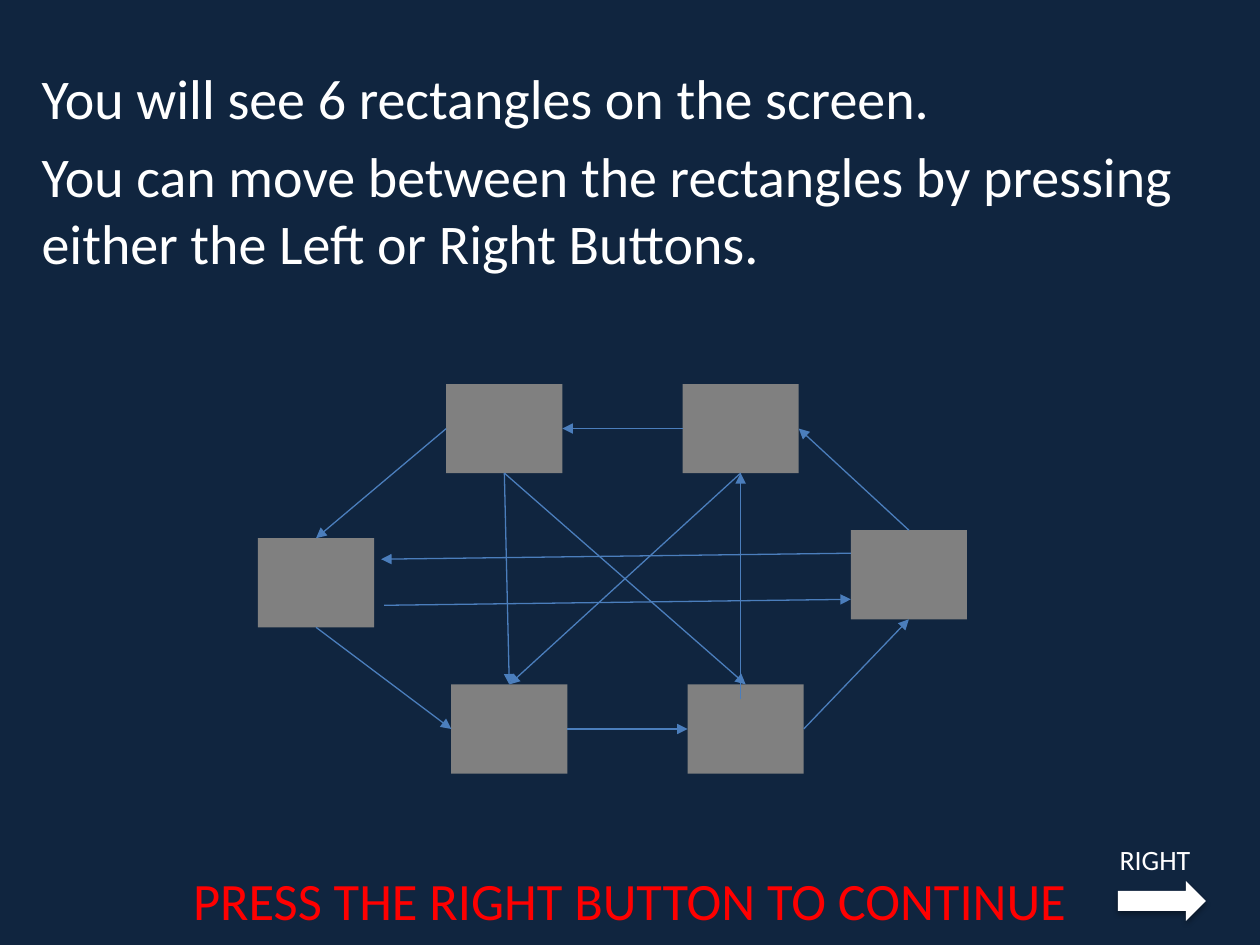
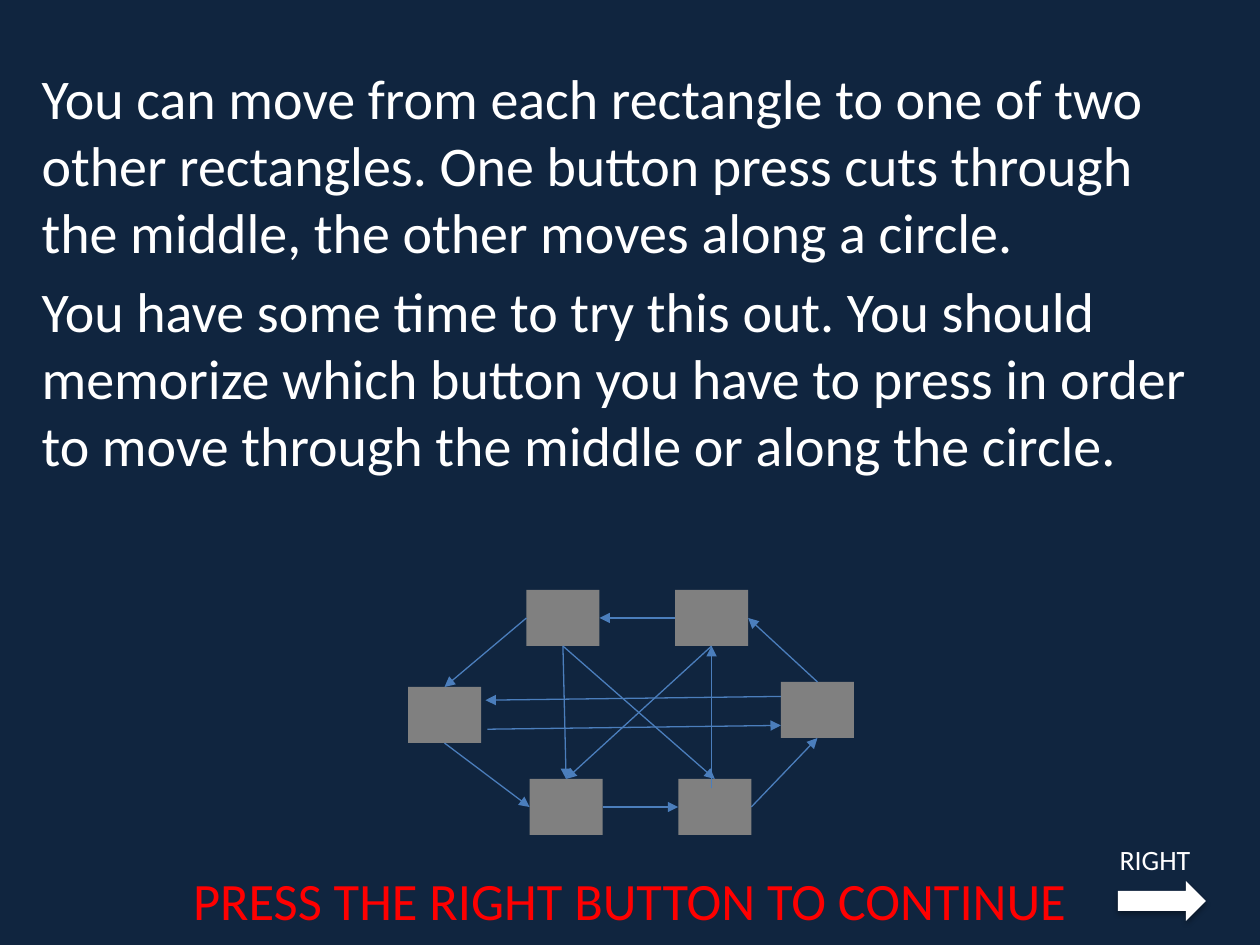
from lxml import etree
from pptx import Presentation, util as u
from pptx.dml.color import RGBColor
from pptx.enum import shapes as es, text as et
from pptx.oxml import ns

PX = 914400 / 126
NAVY, WHITE, RED, GREY, BLUE = "10253F", "FFFFFF", "FF0000", "808080", "4B7EBC"
TOP, LEFT, BOTTOM, RIGHT = range(4)
CELL = (116, 89)
SPOTS = {
    "upper left": (188, 0), "upper right": (424, 0),
    "far right": (592, 146), "far left": (0, 154),
    "lower left": (193, 300), "lower right": (429, 300),
}
LINKS = [
    ("upper left", LEFT, "far left", TOP),
    ("far left", BOTTOM, "lower left", LEFT),
    ("upper left", BOTTOM, "lower left", TOP),
    ("lower left", RIGHT, "lower right", LEFT),
    ("lower right", RIGHT, "far right", BOTTOM),
    ("far right", TOP, "upper right", RIGHT),
    ("upper right", LEFT, "upper left", RIGHT),
    ("upper right", BOTTOM, "lower left", TOP),
    ("upper left", BOTTOM, "lower right", TOP),
]
LOOSE = [(482, 315, 482, 89), (592, 169, 123, 175), (126, 221, 592, 215)]
PAGES = [
    (["You will see 6 rectangles on the screen.",
      "You can move between the rectangles by pressing either the Left or Right Buttons."],
     256, (258, 384, 709), False),
    (["You can move from each rectangle to one of two other rectangles. "
      "One button press cuts through the middle, the other moves along a circle.",
      "You have some time to try this out. You should memorize which button you have "
      "to press in order to move through the middle or along the circle."],
     493, (408, 590, 446), True),
]


def emu(*vals):
    """Turn px lengths into EMU."""
    return [u.Emu(round(v * PX)) for v in vals]


def paint(fmt, hue):
    """Give a fill a solid colour."""
    fmt.solid()
    fmt.fore_color.rgb = RGBColor.from_string(hue)


def add_el(parent, tag, **attrs):
    """Append a drawing element with its attributes."""
    return etree.SubElement(parent, ns.qn(tag), attrs)


def write(frame, lines, size, hue, align=et.PP_ALIGN.LEFT):
    """Fill a text frame, one plain paragraph a line."""
    frame.word_wrap = True
    frame.auto_size = et.MSO_AUTO_SIZE.NONE
    for i, line in enumerate(lines):
        para = frame.add_paragraph() if i else frame.paragraphs[0]
        props = para._p.get_or_add_pPr()
        props.set("marL", "0")
        props.set("indent", "0")
        add_el(props, "a:buNone")
        para.alignment = align
        para.space_before = u.Pt(size * 0.2 if i else 0)
        run = para.add_run()
        run.text = line
        run.font.name, run.font.size = "Calibri", u.Pt(size)
        run.font.color.rgb = RGBColor.from_string(hue)


def block(home, kind, box, hue):
    """Add a flat preset shape without an outline."""
    shape = home.add_shape(kind, *emu(*box))
    shape.shadow.inherit = False
    paint(shape.fill, hue)
    shape.line.fill.background()
    return shape


def arrow(home, ends):
    """Add a thin line with a triangle at its end."""
    line = home.add_connector(es.MSO_CONNECTOR.STRAIGHT, *emu(*ends))
    paint(line.line.fill, BLUE)
    line.line.width = u.Pt(0.75)
    add_el(line.line._get_or_add_ln(), "a:tailEnd", type="triangle")
    add_el(line._element.spPr, "a:effectLst")
    return line


def diagram(home, left, top, width):
    """Draw the six rectangles and their moves at the given width."""
    zoom = width / 708

    def place(x, y):
        return left + x * zoom, top + y * zoom

    size = [side * zoom for side in CELL]
    cells = {name: block(home, es.MSO_SHAPE.RECTANGLE, (*place(*spot), *size), GREY)
             for name, spot in SPOTS.items()}
    for start, out, goal, into in LINKS:
        line = arrow(home, (left, top, left, top))
        line.begin_connect(cells[start], out)
        line.end_connect(cells[goal], into)
    for x, y, to_x, to_y in LOOSE:
        arrow(home, (*place(x, y), *place(to_x, to_y)))


def prompt(slide, left, top):
    """Place the red prompt, the button label and its arrow."""
    mid = et.PP_ALIGN.CENTER
    bar = slide.shapes.add_textbox(*emu(left, top, 1260, 91)).text_frame
    bar.vertical_anchor = et.MSO_ANCHOR.MIDDLE
    write(bar, ["PRESS THE RIGHT BUTTON TO CONTINUE"], 30, RED, mid)
    label = slide.shapes.add_textbox(*emu(left + 1049, top - 18, 212, 111))
    write(label.text_frame, ["RIGHT"], 16, WHITE, mid)
    sign = block(slide.shapes, es.MSO_SHAPE.RIGHT_ARROW,
                 (left + 1118, top + 27, 88, 40), WHITE)
    effects = sign._element.spPr.find(ns.qn("a:effectLst"))
    shade = add_el(effects, "a:outerShdw", blurRad="40000", dist="23000",
                   dir="5400000", rotWithShape="0")
    add_el(add_el(shade, "a:srgbClr", val="000000"), "a:alpha", val="35000")


def page(deck, lines, height, spot, group):
    """Build one instruction slide."""
    slide = deck.slides.add_slide(deck.slide_layouts[1])
    paint(slide.background.fill, NAVY)
    title = slide.shapes.title._element
    title.getparent().remove(title)
    body = slide.placeholders[1]
    body.left, body.top, body.width, body.height = emu(29, 57, 1203, height)
    write(body.text_frame, lines, 32, WHITE)
    prompt(slide, 0, 854)
    home = slide.shapes.add_group_shape().shapes if group else slide.shapes
    diagram(home, *spot)


def main():
    """Build and save the deck."""
    deck = Presentation()
    deck.slide_width, deck.slide_height = emu(1260, 945)
    for item in PAGES:
        page(deck, *item)
    deck.save("out.pptx")


if __name__ == "__main__":
    main()
